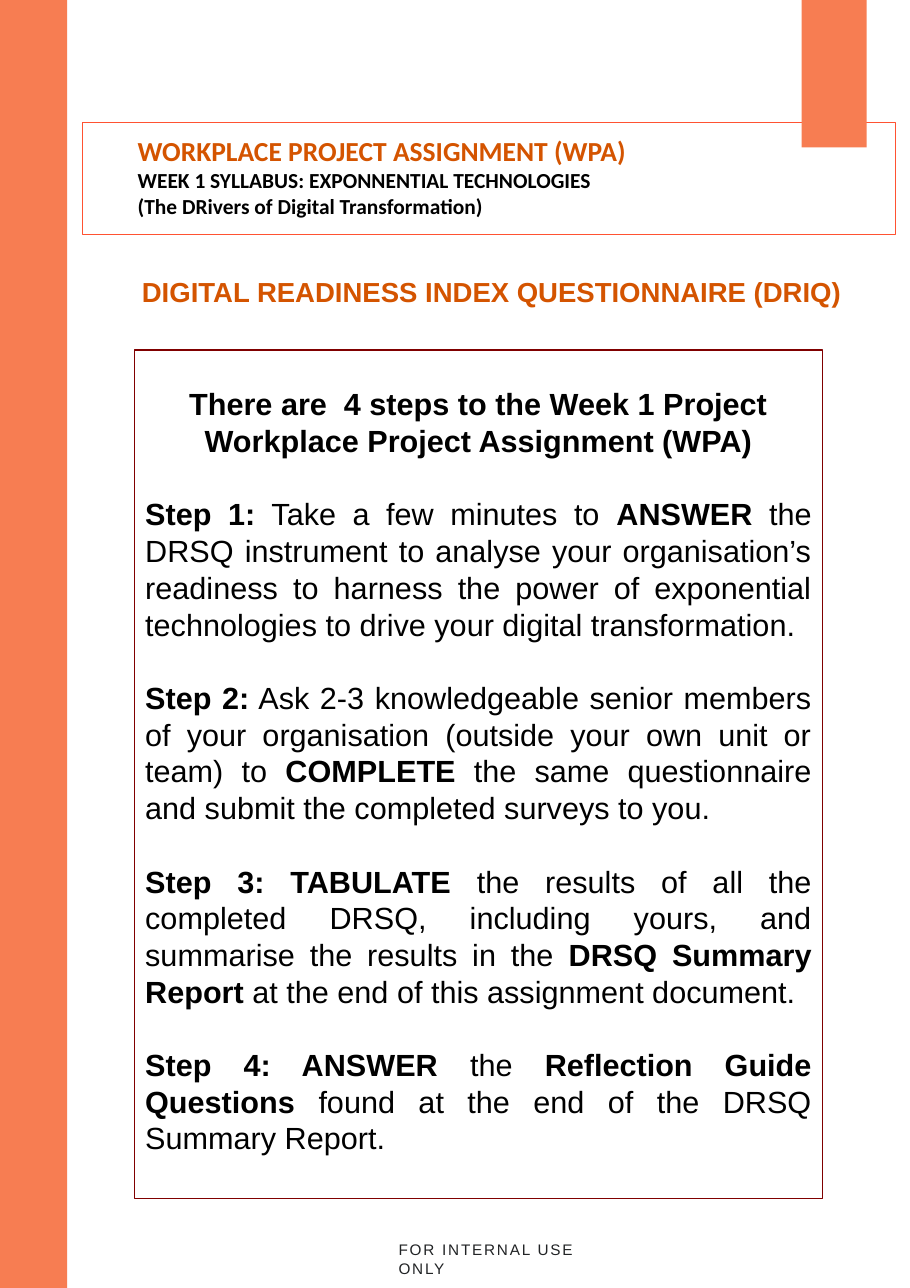
from pptx import Presentation
from pptx.dml.color import RGBColor
from pptx.enum.shapes import MSO_SHAPE
from pptx.enum.text import MSO_ANCHOR, PP_ALIGN
from pptx.util import Inches, Pt

PAGE = (Pt(595), Pt(842.5))
THEME = {
    "bar": "F77D52", "header_line": "FF5232", "steps_line": "800000",
    "title": "D45400", "text": "000000", "footer": "212325",
    "head_font": "Calibri", "body_font": "Arial",
    "title_size": 18, "subtitle_size": 14, "body_size": 20, "footer_size": 10,
    "body_pitch": 24, "line": 0.75, "footer_spacing": 1.2,
}

# Double asterisks switch bold on and off.
HEADER = [
    ("**WORKPLACE PROJECT ASSIGNMENT (WPA)**", "title"),
    ("**WEEK 1 SYLLABUS: EXPONNENTIAL TECHNOLOGIES**", "subtitle"),
    ("**(The DRivers of Digital Transformation)**", "subtitle"),
]
TITLE = "**DIGITAL READINESS INDEX QUESTIONNAIRE (DRIQ)**"
INTRO = "**There are  4 steps to the Week 1 Project Workplace Project Assignment (WPA)**"
STEPS = [
    "**Step 1:** Take a few minutes to **ANSWER** the DRSQ instrument to analyse "
    "your organisation’s readiness to harness the power of exponential "
    "technologies to drive your digital transformation.",
    "**Step 2:** Ask 2-3 knowledgeable senior members of your organisation "
    "(outside your own unit or team) to **COMPLETE** the same questionnaire "
    "and submit the completed surveys to you.",
    "**Step 3: TABULATE** the results of all the completed DRSQ, including yours, "
    "and summarise the results in the **DRSQ Summary Report** at the end of this "
    "assignment document.",
    "**Step 4: ANSWER** the **Reflection Guide Questions** found at the end of "
    "the DRSQ Summary Report.",
]
FOOTER = "FOR INTERNAL USE ONLY"

# Left, top, width, height in inches.
BARS = [(0, 0, 0.61, PAGE[1].inches), (7.28, 0, 0.59, 1.34)]
HEADER_BOX = (0.75, 1.11, 7.38, 1.02)
TITLE_BOX = (0.88, 2.45, 7.17, 0.4)
STEPS_BOX = (1.22, 3.18, 6.25, 7.71)
FOOTER_BOX = (3.61, 11.25, 1.85, 0.19)


def color(name):
    """Return a theme colour."""
    return RGBColor.from_string(THEME[name])


def add_rect(slide, box, fill=None, line=None):
    """Add a plain rectangle with an optional fill and outline."""
    s = slide.shapes.add_shape(MSO_SHAPE.RECTANGLE, *map(Inches, box))
    s.shadow.inherit = False
    if fill:
        s.fill.solid()
        s.fill.fore_color.rgb = color(fill)
    else:
        s.fill.background()
    if line:
        s.line.color.rgb = color(line)
        s.line.width = Pt(THEME["line"])
    else:
        s.line.fill.background()
    return s


def set_frame(s, left=0.1, top=0.05, right=0.1, bottom=0.05):
    """Wrap the text from the top, with insets in inches."""
    tf = s.text_frame
    settings = {
        "word_wrap": True, "vertical_anchor": MSO_ANCHOR.TOP,
        "margin_left": Inches(left), "margin_top": Inches(top),
        "margin_right": Inches(right), "margin_bottom": Inches(bottom),
    }
    for name, value in settings.items():
        setattr(tf, name, value)
    return tf


def write(tf, text, size, font, ink, **layout):
    """Write one paragraph, splitting its runs at the bold marks."""
    p = tf.paragraphs[0]
    if p.runs:
        p = tf.add_paragraph()
    for name, value in ({"alignment": PP_ALIGN.LEFT} | layout).items():
        setattr(p, name, value)
    for i, part in enumerate(text.split("**")):
        if part:
            r = p.add_run()
            r.text = part
            look = {"size": Pt(THEME[size]), "name": THEME[font], "bold": i % 2 == 1}
            for name, value in look.items():
                setattr(r.font, name, value)
            r.font.color.rgb = color(ink)
    return p


prs = Presentation()
prs.slide_width, prs.slide_height = PAGE
slide = prs.slides.add_slide(prs.slide_layouts[6])

tf = set_frame(add_rect(slide, HEADER_BOX, line="header_line"), 0.5, 0.11, 0, 0)
for text, role in HEADER:
    write(tf, text, f"{role}_size", "head_font", "title" if role == "title" else "text")

for bar in BARS:
    add_rect(slide, bar, fill="bar")

tf = set_frame(slide.shapes.add_textbox(*map(Inches, TITLE_BOX)))
write(tf, TITLE, "title_size", "body_font", "title", alignment=PP_ALIGN.CENTER)

tf = set_frame(add_rect(slide, STEPS_BOX, line="steps_line"), top=0.32)
pitch = Pt(THEME["body_pitch"])
write(tf, INTRO, "body_size", "body_font", "text",
      alignment=PP_ALIGN.CENTER, line_spacing=pitch)
for step in STEPS:
    write(tf, step, "body_size", "body_font", "text",
          alignment=PP_ALIGN.JUSTIFY, line_spacing=pitch, space_before=pitch)

tf = set_frame(slide.shapes.add_textbox(*map(Inches, FOOTER_BOX)), 0.01, 0.02, 0, 0)
p = write(tf, FOOTER, "footer_size", "body_font", "footer", space_before=Pt(1.2))
for r in p.runs:
    r.font._element.set("spc", str(round(THEME["footer_spacing"] * 100)))

prs.save("out.pptx")
